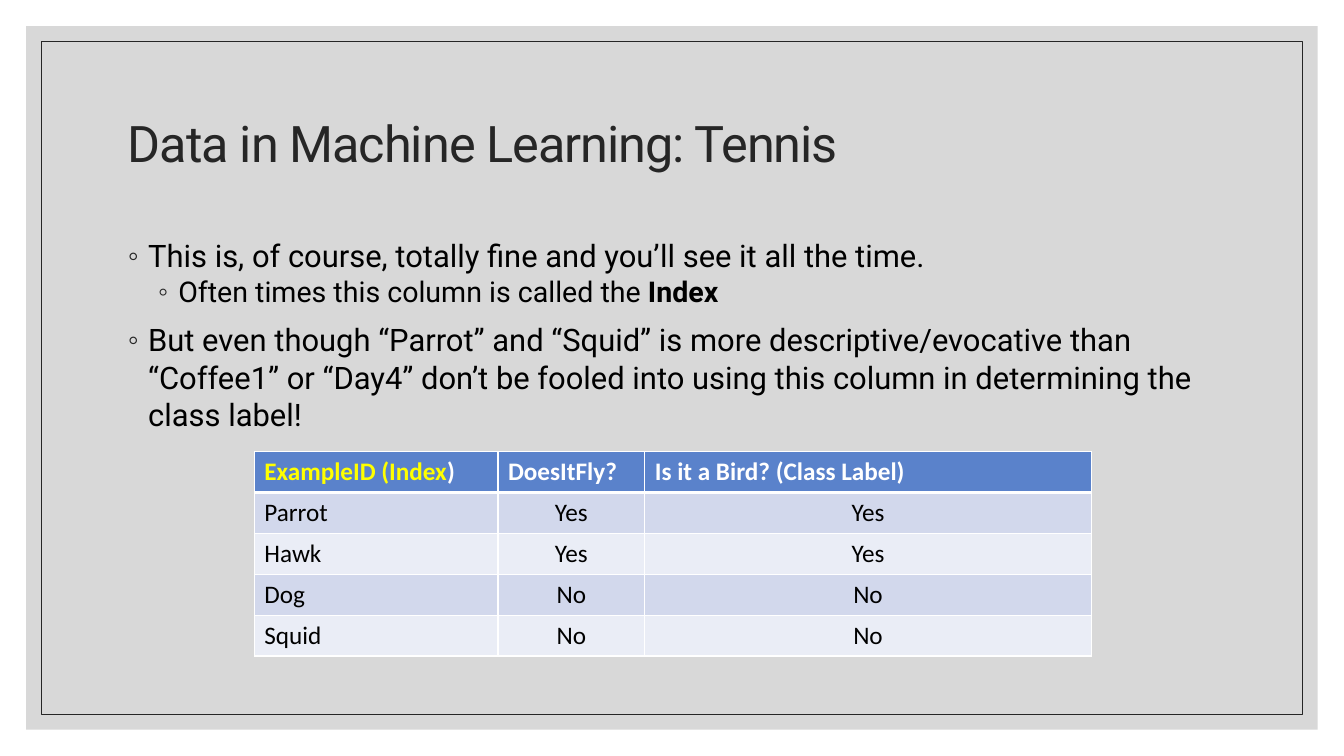
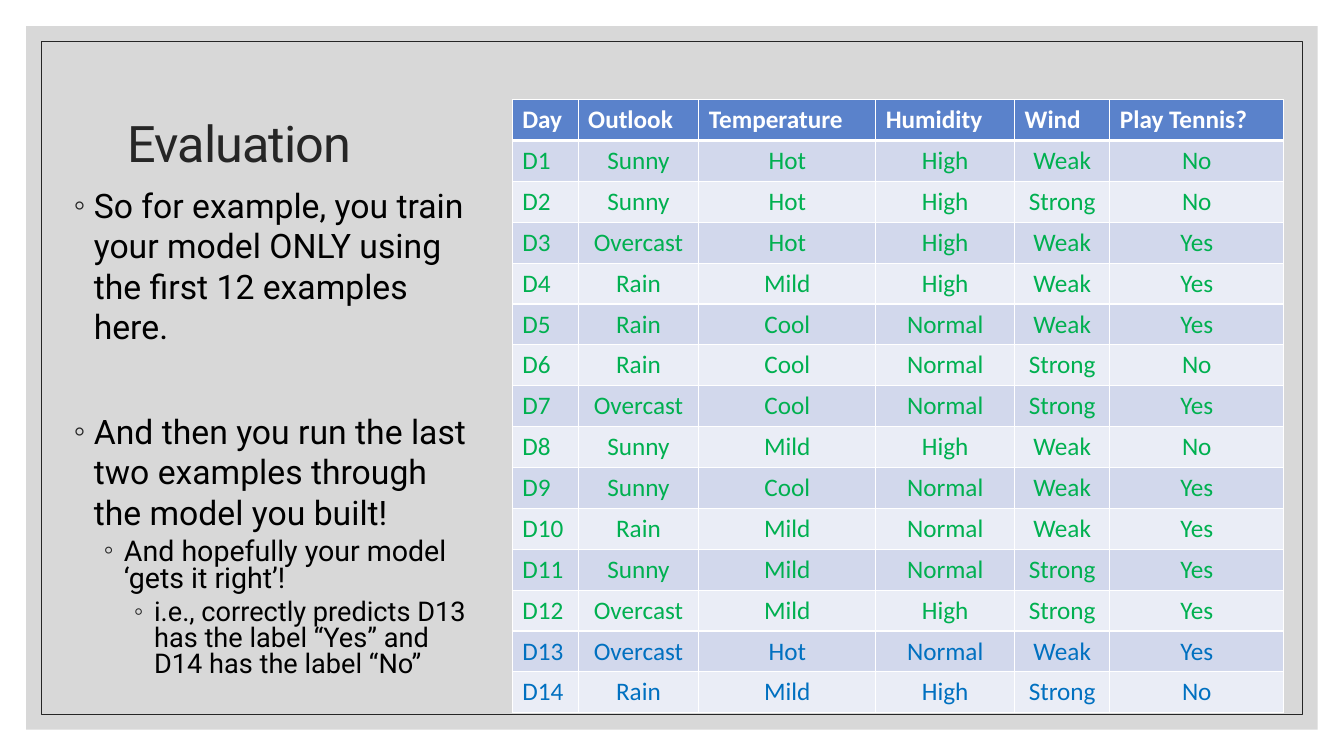
from lxml.etree import SubElement
from pptx import Presentation
from pptx.dml.color import RGBColor
from pptx.enum.shapes import MSO_SHAPE as Preset
from pptx.enum.text import MSO_ANCHOR as Anchor, MSO_AUTO_SIZE as AutoSize, PP_ALIGN as Align
from pptx.oxml.ns import qn
from pptx.util import Cm, Pt

# Shared look
rgb = RGBColor.from_string
BLACK, WHITE, DARK, GREY = "000000", "FFFFFF", "262626", "BFBFBF"
YELLOW, GREEN, BLUE = "FFFF00", "00B050", "0070C0"
HEADER_FILL, BAND_FILLS = "5A82CB", ("D2D8EC", "EAEDF6")
TEXT_FONT, TABLE_FONT = "Roboto", "Calibri"
WIDTH, HEIGHT, ROW_HEIGHT = 33.87, 19.05, 1.03


def add_span(para, text, size, ink, face=TEXT_FONT, bold=False):
    span = para.add_run()
    span.text = text
    span.font.size = Pt(size)
    span.font.name = face
    span.font.bold = bold
    span.font.color.rgb = rgb(ink)
    return span


def style_cell(cell, fill, top, bottom):
    properties = cell._tc.get_or_add_tcPr()
    for side, points in (("L", 1), ("R", 1), ("T", top), ("B", bottom)):
        line = SubElement(properties, qn(f"a:ln{side}"), w=str(Pt(points)))
        paint = SubElement(line, qn("a:solidFill"))
        SubElement(paint, qn("a:srgbClr"), val=WHITE)
    cell.fill.solid()
    cell.fill.fore_color.rgb = rgb(fill)


# Content: bullets are (level, size, space before, runs), runs are (text, bold)
slides = [
    {
        "title": "Data in Machine Learning: Tennis",
        "body": (2.97, 5.84, 27.64, 5.16),
        "bullets": [
            (0, 22.1, 0, [("This is, of course, totally fine and you’ll see it all the time.", False)]),
            (1, 20.4, 5, [("Often times this column is called the ", False), ("Index", True)]),
            (0, 22.1, 9, [("But even though “Parrot” and “Squid” is more descriptive/evocative than "
                           "“Coffee1” or “Day4” don’t be fooled into using this column in "
                           "determining the class label!", False)]),
        ],
        "table_at": (6.41, 11.38),
        "columns": (6.14, 3.7, 11.25),
        "header": [[("ExampleID (Index", YELLOW), (")", WHITE)],
                   [("DoesItFly?", WHITE)],
                   [("Is it a Bird? (Class Label)", WHITE)]],
        "groups": [(BLACK, ["Parrot Yes Yes", "Hawk Yes Yes", "Dog No No", "Squid No No"])],
    },
    {
        "title": "Evaluation",
        "body": (1.6, 4.52, 10.74, 13.44),
        "bullets": [
            (0, 24.1, 0, [("So for example, you train your model ONLY using the first 12 "
                           "examples here.", False)]),
            (0, 24.1, 46, [("And then you run the last two examples through the model you "
                            "built!", False)]),
            (1, 20.4, 5, [("And hopefully your model ‘gets it right’!", False)]),
            (2, 19.4, 5, [("i.e., correctly predicts D13 has the label “Yes” and D14 has the "
                           "label “No”", False)]),
        ],
        "table_at": (12.91, 2.51),
        "columns": (1.66, 3.04, 4.46, 3.5, 2.4, 4.38),
        "header": [[(name, WHITE)] for name in
                   ("Day", "Outlook", "Temperature", "Humidity", "Wind", "Play Tennis?")],
        "groups": [
            (GREEN, [
                "D1 Sunny Hot High Weak No",
                "D2 Sunny Hot High Strong No",
                "D3 Overcast Hot High Weak Yes",
                "D4 Rain Mild High Weak Yes",
                "D5 Rain Cool Normal Weak Yes",
                "D6 Rain Cool Normal Strong No",
                "D7 Overcast Cool Normal Strong Yes",
                "D8 Sunny Mild High Weak No",
                "D9 Sunny Cool Normal Weak Yes",
                "D10 Rain Mild Normal Weak Yes",
                "D11 Sunny Mild Normal Strong Yes",
                "D12 Overcast Mild High Strong Yes",
            ]),
            (BLUE, ["D13 Overcast Hot Normal Weak Yes", "D14 Rain Mild High Strong No"]),
        ],
    },
]

deck = Presentation()
deck.slide_width, deck.slide_height = Cm(WIDTH), Cm(HEIGHT)
layout = deck.slide_layouts[1]

# Title position, once on the layout
heading = layout.placeholders[0]
heading.left, heading.top, heading.width, heading.height = Cm(2.97), Cm(1.78), Cm(27.94), Cm(3.81)
heading.text_frame.vertical_anchor = Anchor.MIDDLE

pages = [deck.slides.add_slide(layout) for _ in slides]

# Grey panel and thin frame, moved to the back of the layout
for order, margin in enumerate((0.66, 1.04)):
    panel = pages[0].shapes.add_shape(Preset.RECTANGLE, Cm(margin), Cm(margin),
                                      Cm(WIDTH - 2 * margin), Cm(HEIGHT - 2 * margin))
    panel.shadow.inherit = False
    if order == 0:
        panel.fill.solid()
        panel.fill.fore_color.rgb = rgb(GREY)
        color = panel.element.find(".//" + qn("a:srgbClr"))
        SubElement(color, qn("a:alpha"), val="60000")
        panel.line.fill.background()
    else:
        panel.fill.background()
        panel.line.color.rgb = rgb(DARK)
        panel.line.width = Pt(0.5)
    panel.element.nvSpPr.cNvPr.set("id", str(20 + order))
    layout.shapes.element.insert(2 + order, panel.element)

for page, content in zip(pages, slides):
    # Title
    para = page.shapes.title.text_frame.paragraphs[0]
    para.alignment = Align.LEFT
    para.line_spacing = 0.9
    span = add_span(para, content["title"], 36, DARK)
    span.font._element.set("spc", "-70")

    # Bullet list
    body = page.placeholders[1]
    body.left, body.top, body.width, body.height = map(Cm, content["body"])
    frame = body.text_frame
    frame.auto_size = AutoSize.NONE
    for number, (level, size, before, runs) in enumerate(content["bullets"]):
        para = frame.add_paragraph() if number else frame.paragraphs[0]
        para.level = level
        para.line_spacing = 0.8 if level else 1.0
        para.space_before = Pt(before)
        properties = para._p.get_or_add_pPr()
        properties.set("marL", str(Cm(0.51 + 0.76 * level)))
        properties.set("indent", str(Cm(-0.51)))
        tint = SubElement(properties, qn("a:buClr"))
        SubElement(tint, qn("a:srgbClr"), val=DARK)
        SubElement(properties, qn("a:buChar"), char="◦")
        for text, bold in runs:
            add_span(para, text, size, BLACK, bold=bold)

    # Table
    rows = [content["header"]]
    for ink, lines in content["groups"]:
        rows += [[[(word, ink)] for word in line.split()] for line in lines]
    columns = content["columns"]
    left, top = content["table_at"]
    table = page.shapes.add_table(len(rows), len(columns), Cm(left), Cm(top),
                                  Cm(sum(columns)), Cm(ROW_HEIGHT * len(rows))).table
    table.horz_banding = False
    for column, width in zip(table.columns, columns):
        column.width = Cm(width)
    for r, row in enumerate(rows):
        table.rows[r].height = Cm(ROW_HEIGHT)
        fill = BAND_FILLS[(r - 1) % 2] if r else HEADER_FILL
        for c, runs in enumerate(row):
            cell = table.cell(r, c)
            style_cell(cell, fill, top=3 if r == 1 else 1, bottom=1 if r else 3)
            para = cell.text_frame.paragraphs[0]
            para.alignment = Align.CENTER if r and c else Align.LEFT
            for text, ink in runs:
                add_span(para, text, 18, ink, TABLE_FONT, bold=r == 0)

deck.save("out.pptx")
